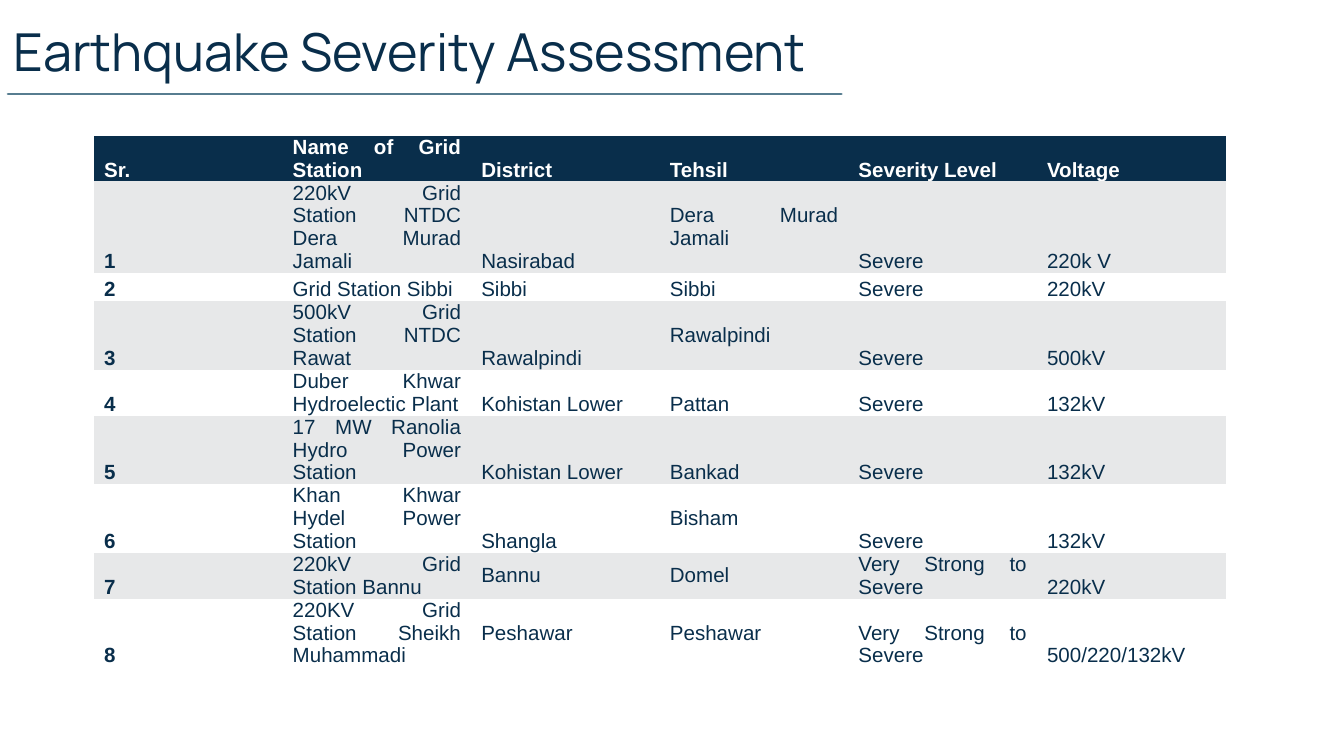
from typing import NamedTuple

from pptx import Presentation
from pptx.dml.color import RGBColor
from pptx.enum.shapes import MSO_CONNECTOR
from pptx.enum.text import MSO_ANCHOR, PP_ALIGN
from pptx.oxml.ns import qn
from pptx.util import Inches, Pt
from lxml.etree import SubElement

COLORS = {"navy": "092E4B", "rule": "577D90", "band": "E7E8E9", "white": "FFFFFF"}
NO_GRID_STYLE = "{2D5ABB26-0587-4C30-8999-92F81FD0307C}"
TABLE_WIDTH, ROW_HEIGHT = 8.42, 0.21


class Station(NamedTuple):
    sr: str
    name: str
    district: str
    tehsil: str
    severity: str
    voltage: str
    middle: tuple = ()  # columns centred vertically


HEADER = Station("Sr.", "Name of Grid Station", "District", "Tehsil",
                 "Severity Level", "Voltage")
STATIONS = [
    Station("1", "220kV Grid Station NTDC Dera Murad Jamali", "Nasirabad",
            "Dera Murad Jamali", "Severe", "220k V", (3,)),
    Station("2", "Grid Station Sibbi", "Sibbi", "Sibbi", "Severe", "220kV"),
    Station("3", "500kV Grid Station NTDC Rawat", "Rawalpindi",
            "Rawalpindi", "Severe", "500kV", (3,)),
    Station("4", "Duber Khwar Hydroelectic Plant", "Kohistan Lower",
            "Pattan", "Severe", "132kV"),
    Station("5", "17 MW Ranolia Hydro Power Station", "Kohistan Lower",
            "Bankad", "Severe", "132kV"),
    Station("6", "Khan Khwar Hydel Power Station", "Shangla",
            "Bisham", "Severe", "132kV", (3,)),
    Station("7", "220kV Grid Station Bannu", "Bannu", "Domel",
            "Very Strong to Severe", "220kV", (2, 3)),
    Station("8", "220KV Grid Station Sheikh Muhammadi", "Peshawar", "Peshawar",
            "Very Strong to Severe", "500/220/132kV", (2, 3)),
]


def rgb(name: str) -> RGBColor:
    return RGBColor.from_string(COLORS[name])


def set_attrs(obj, values: dict) -> None:
    for key, value in values.items():
        setattr(obj, key, value)


def write(p, text: str, color: str, font: dict) -> None:
    r = p.add_run()
    r.text = text
    set_attrs(r.font, font)
    r.font.color.rgb = rgb(color)


def fill_cell(cell, text: str, fill: str, color: str, bold: bool, anchor) -> None:
    set_attrs(cell, {
        "margin_left": Pt(5.4), "margin_right": Pt(5.4),
        "margin_top": 0, "margin_bottom": 0, "vertical_anchor": anchor,
    })
    cell.fill.solid()
    cell.fill.fore_color.rgb = rgb(fill)
    p = cell.text_frame.paragraphs[0]
    p.alignment = PP_ALIGN.JUSTIFY
    write(p, text, color, {"name": "Arial", "size": Pt(11), "bold": bold})


def add_title(s, text: str) -> None:
    sp = s.shapes.title
    set_attrs(sp, {"left": 0, "top": Inches(0.04),
                   "width": Inches(7.2), "height": Inches(0.66)})
    tf = sp.text_frame
    sides = ("left", "top", "right", "bottom")
    set_attrs(tf, {f"margin_{side}": Inches(0.1) for side in sides})
    set_attrs(tf, {"word_wrap": True, "vertical_anchor": MSO_ANCHOR.TOP})
    p = tf.paragraphs[0]
    p.alignment = PP_ALIGN.LEFT
    write(p, text, "navy", {"name": "Manrope", "size": Pt(28), "bold": False})


def add_rule(s) -> None:
    line = s.shapes.add_connector(MSO_CONNECTOR.STRAIGHT, Inches(0.06), Inches(0.7),
                                  Inches(6.26), Inches(0.7))
    line.line.color.rgb = rgb("rule")
    line.line.width = Pt(1.5)
    line.line._ln.set("cap", "rnd")
    SubElement(line._element.spPr, qn("a:effectLst"))


def add_station_table(s, rows: list[Station]) -> None:
    cols = len(HEADER) - 1
    frame = s.shapes.add_table(len(rows), cols, Inches(0.7), Inches(1.01),
                               Inches(TABLE_WIDTH), Inches(len(rows) * ROW_HEIGHT))
    table = frame.table
    table._tbl.tblPr.find(qn("a:tableStyleId")).text = NO_GRID_STYLE
    for i, station in enumerate(rows):
        table.rows[i].height = Inches(ROW_HEIGHT)
        head = i == 0
        fill = "navy" if head else ("band" if i % 2 else "white")
        for j, text in enumerate(station[:cols]):
            anchor = MSO_ANCHOR.MIDDLE if j in station.middle else MSO_ANCHOR.BOTTOM
            fill_cell(table.cell(i, j), text, fill, "white" if head else "navy",
                      head or j == 0, anchor)


def main() -> None:
    prs = Presentation()
    prs.slide_width = Inches(10)
    prs.slide_height = prs.slide_width * 9 // 16
    s = prs.slides.add_slide(prs.slide_layouts[5])

    # Title with its underline
    add_title(s, "Earthquake Severity Assessment")
    add_rule(s)

    # Grid stations by severity
    add_station_table(s, [HEADER, *STATIONS])
    prs.save("out.pptx")


if __name__ == "__main__":
    main()
